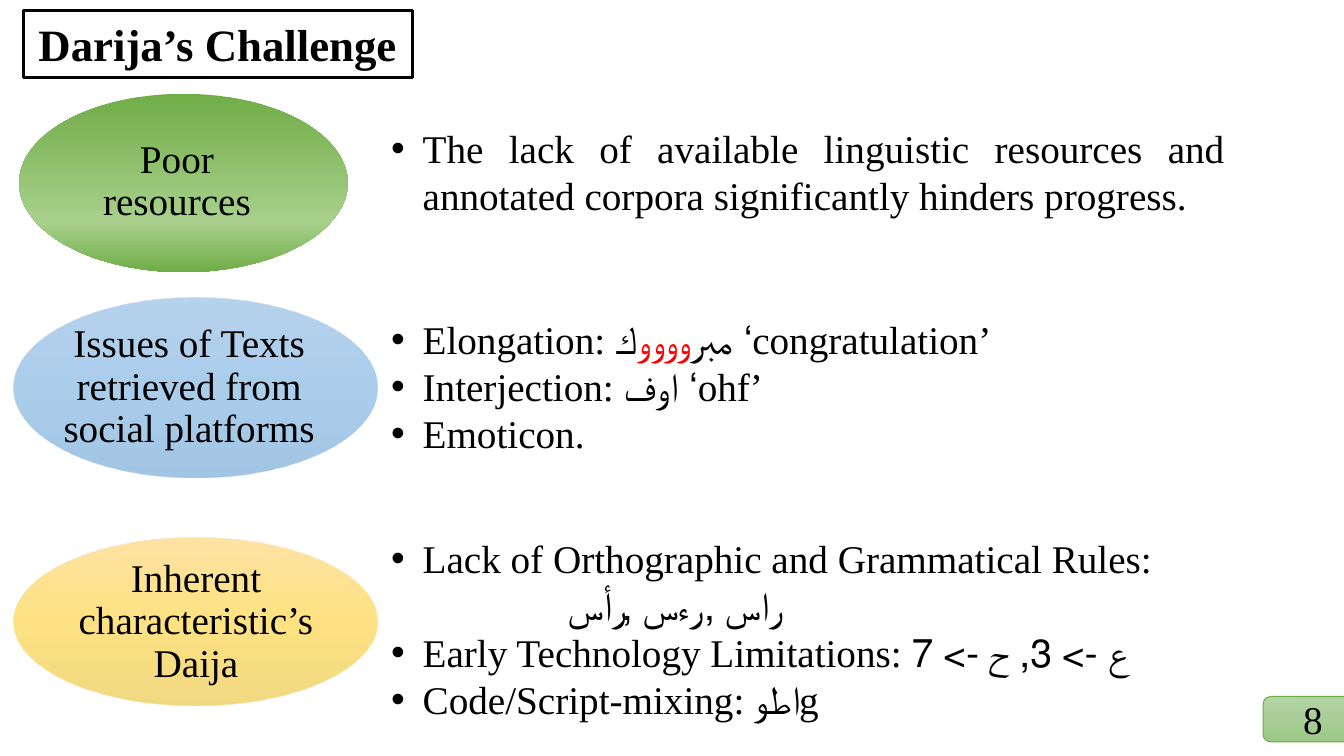
from dataclasses import dataclass

from lxml import etree
from pptx import Presentation
from pptx.dml.color import RGBColor
from pptx.enum.shapes import MSO_SHAPE
from pptx.enum.text import MSO_ANCHOR, MSO_AUTO_SIZE, PP_ALIGN
from pptx.oxml.ns import qn
from pptx.util import Pt

OVAL, ROUNDED = MSO_SHAPE.OVAL, MSO_SHAPE.ROUNDED_RECTANGLE
MIDDLE, TOP = MSO_ANCHOR.MIDDLE, MSO_ANCHOR.TOP
LEFT, CENTER, JUSTIFY = PP_ALIGN.LEFT, PP_ALIGN.CENTER, PP_ALIGN.JUSTIFY
NO_AUTOFIT = MSO_AUTO_SIZE.NONE
COMPARISON_LAYOUT = 4


@dataclass(frozen=True)
class Theme:
    font: str = "Times New Roman"
    title_size: int = 32
    body_size: int = 28
    ink: str = "000000"
    accent: str = "FF0000"
    paper: str = "FFFFFF"
    badge_line: str = "70AD47"
    badge: tuple = ((0, "B4D4A5"), (50, "A8CD97"), (100, "9BC985"))
    green: tuple = ((0, "70AD47"), (72, "A8D08C"), (100, "70AD47"))
    blue: tuple = ((0, "6EA5DA"), (50, "529BDA"), (100, "4188C8"))
    yellow: tuple = ((0, "FFC647"), (50, "FFC600"), (100, "E3B400"))


THEME = Theme()

# Each list line is a list of (text, colour) runs.
RESOURCES = [
    [("The lack of available linguistic resources and annotated corpora "
      "significantly hinders progress.", THEME.ink)],
]
TEXT_ISSUES = [
    [("Elongation: مبر", THEME.ink), ("وووو", THEME.accent),
     ("ك ‘congratulation’", THEME.ink)],
    [("Interjection: اوف ‘ohf’", THEME.ink)],
    [("Emoticon.", THEME.ink)],
]
CHARACTERISTICS = [
    [("Lack of Orthographic and Grammatical Rules:", THEME.ink)],
    [("راس ,رءس ,رأس", THEME.ink)],
    [("Early Technology Limitations: ع -> 3, ح -> 7", THEME.ink)],
    [("Code/Script-mixing: اطوg", THEME.ink)],
]
EXAMPLE_LINE = CHARACTERISTICS[1]

# Label, gradient, opacity, oval box, label box, lines, list box, alignment
CHALLENGES = [
    ("Poor resources", THEME.green, 100, (13.7, 67, 234.7, 127.4),
     (43.2, 85, 166.3, 90), RESOURCES, (272.2, 85, 609.8, 75), JUSTIFY),
    ("Issues of Texts retrieved from social platforms", THEME.blue, 49,
     (10, 212.4, 260, 129), (38.2, 229.7, 193.7, 94.3),
     TEXT_ISSUES, (272.2, 221.8, 635, 108.7), LEFT),
    ("Inherent characteristic’s Daija", THEME.yellow, 49,
     (10, 383.8, 260, 120.2), (48.2, 401.8, 183.6, 85),
     CHARACTERISTICS, (272.2, 378, 635, 143.3), LEFT),
]


def points(box):
    return [Pt(length) for length in box]


def place(shape, box):
    shape.left, shape.top, shape.width, shape.height = points(box)


def format_run(run, size, color=THEME.ink, bold=False):
    run.font.name = THEME.font
    run.font.size = Pt(size)
    run.font.bold = bold
    run.font.color.rgb = RGBColor.from_string(color)


def set_margins(text_frame, horizontal, vertical):
    text_frame.margin_left = text_frame.margin_right = Pt(horizontal)
    text_frame.margin_top = text_frame.margin_bottom = Pt(vertical)


def write_centered(shape, text, size, bold=False, line_spacing=1.0):
    text_frame = shape.text_frame
    text_frame.text = text
    text_frame.word_wrap = True
    text_frame.auto_size = NO_AUTOFIT
    text_frame.vertical_anchor = MIDDLE
    paragraph = text_frame.paragraphs[0]
    paragraph.alignment = CENTER
    paragraph.line_spacing = line_spacing
    paragraph.space_before = Pt(0)
    format_run(paragraph.runs[0], size, bold=bold)


def fill_gradient(shape, stops, opacity=100):
    """Fill from top to bottom with (percent, colour) stops."""
    shape.fill.gradient()
    shape.fill.gradient_angle = 270
    stop_list = shape._element.spPr.find(qn("a:gradFill")).find(qn("a:gsLst"))
    for old_stop in list(stop_list):
        stop_list.remove(old_stop)
    for percent, color in stops:
        stop = etree.SubElement(stop_list, qn("a:gs"), pos=str(percent * 1000))
        rgb = etree.SubElement(stop, qn("a:srgbClr"), val=color)
        if opacity < 100:
            etree.SubElement(rgb, qn("a:alpha"), val=str(opacity * 1000))


def set_indent(paragraph, left, hanging=0, bullet=None):
    properties = paragraph._p.get_or_add_pPr()
    properties.set("marL", str(Pt(left)))
    properties.set("indent", str(Pt(-hanging)))
    if bullet:
        color = etree.SubElement(properties, qn("a:buClr"))
        etree.SubElement(color, qn("a:srgbClr"), val=THEME.ink)
        etree.SubElement(properties, qn("a:buFont"), typeface="Arial")
        etree.SubElement(properties, qn("a:buChar"), char=bullet)
    else:
        etree.SubElement(properties, qn("a:buNone"))


def add_title(slide, box):
    title = slide.shapes.title
    place(title, box)
    outline = etree.SubElement(title._element.spPr, qn("a:prstGeom"), prst="roundRect")
    etree.SubElement(outline, qn("a:avLst"))
    title.fill.solid()
    title.fill.fore_color.rgb = RGBColor.from_string(THEME.paper)
    title.line.color.rgb = RGBColor.from_string(THEME.ink)
    title.line.width = Pt(2.25)
    write_centered(title, "Darija’s Challenge", THEME.title_size, bold=True)


def add_oval_label(slide, text, stops, opacity, oval_box, label_box):
    oval = slide.shapes.add_shape(OVAL, *points(oval_box))
    oval.shadow.inherit = False
    fill_gradient(oval, stops, opacity)
    oval.line.fill.background()
    label = slide.shapes.add_textbox(*points(label_box))
    set_margins(label.text_frame, 1.4, 1.4)
    write_centered(label, text, THEME.body_size, line_spacing=0.9)


def fill_list(placeholder, lines, box, alignment):
    place(placeholder, box)
    text_frame = placeholder.text_frame
    text_frame.word_wrap = True
    text_frame.auto_size = NO_AUTOFIT
    text_frame.vertical_anchor = TOP
    set_margins(text_frame, 7.2, 3.6)
    for index, line in enumerate(lines):
        paragraph = text_frame.add_paragraph() if index else text_frame.paragraphs[0]
        paragraph.alignment = alignment
        paragraph.line_spacing = 1.0
        paragraph.space_before = Pt(0)
        if line is EXAMPLE_LINE:
            set_indent(paragraph, 126)
        else:
            set_indent(paragraph, 22.5, 22.5, "•")
        for text, color in line:
            run = paragraph.add_run()
            run.text = text
            format_run(run, THEME.body_size, color)


def add_page_badge(slide, box):
    badge = slide.shapes.add_shape(ROUNDED, *points(box))
    badge.shadow.inherit = False
    fill_gradient(badge, THEME.badge)
    badge.line.color.rgb = RGBColor.from_string(THEME.badge_line)
    badge.line.width = Pt(0.75)
    write_centered(badge, "8", THEME.body_size)


def main():
    presentation = Presentation()
    presentation.slide_width, presentation.slide_height = Pt(960), Pt(540)
    layout = presentation.slide_layouts[COMPARISON_LAYOUT]
    slide = presentation.slides.add_slide(layout)
    add_title(slide, (16.5, 7.2, 278, 48.2))
    _, *bodies, spare = list(slide.placeholders)
    spare._element.getparent().remove(spare._element)
    for body, challenge in zip(bodies, CHALLENGES):
        *label_parts, lines, list_box, alignment = challenge
        add_oval_label(slide, *label_parts)
        fill_list(body, lines, list_box, alignment)
    add_page_badge(slide, (902.2, 497.5, 71.3, 32.4))
    presentation.save("out.pptx")


if __name__ == "__main__":
    main()
